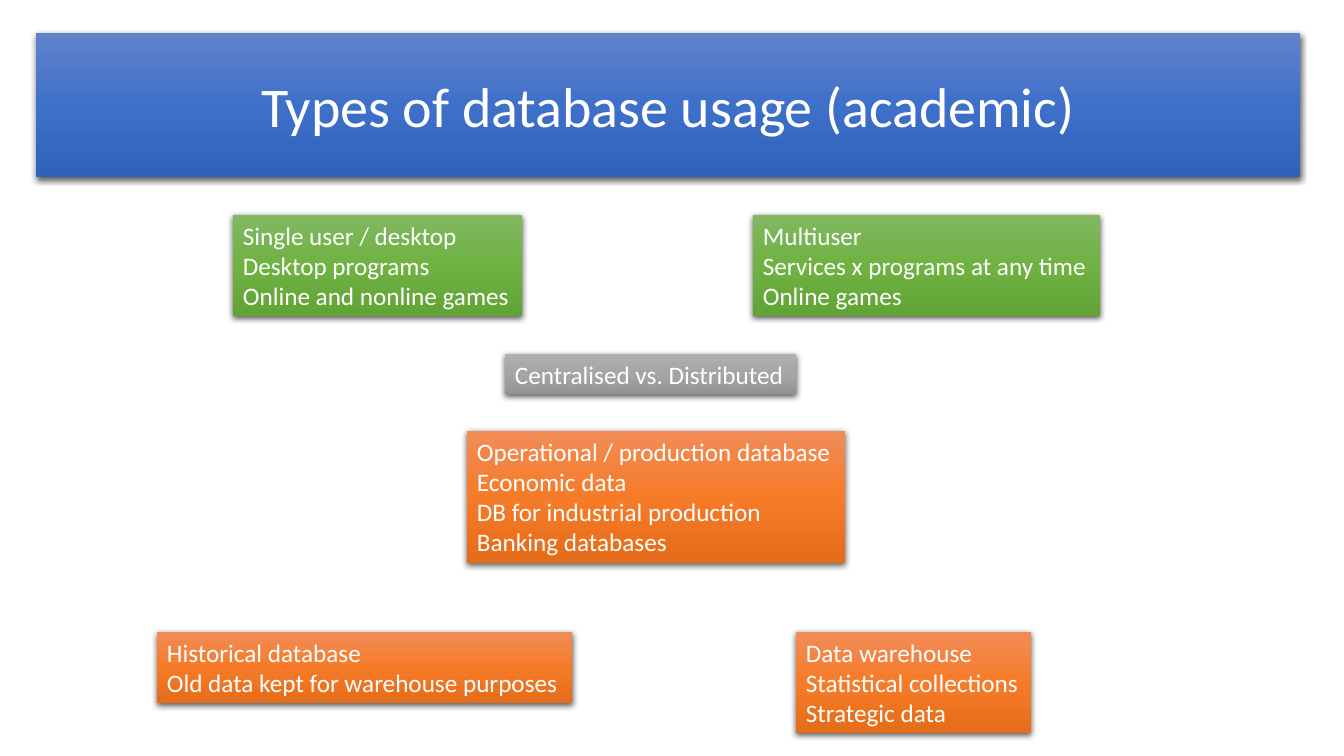
from copy import deepcopy

from lxml.etree import SubElement
from pptx import Presentation
from pptx.dml.color import RGBColor
from pptx.enum.shapes import MSO_SHAPE
from pptx.enum.text import MSO_ANCHOR, MSO_AUTO_SIZE, PP_ALIGN
from pptx.oxml.ns import qn
from pptx.util import Emu, Pt

TITLE = "Types of database usage (academic)"
TITLE_AREA = (36, 33, 1264, 144)

# left, top, width, gradient name, lines
BOXES = [
    (233, 215, 289, "green",
     ["Single user / desktop", "Desktop programs", "Online and nonline games"]),
    (753, 215, 347, "green",
     ["Multiuser", "Services x programs at any time", "Online games"]),
    (467, 431, 378, "orange",
     ["Operational / production database", "Economic data",
      "DB for industrial production", "Banking databases"]),
    (796, 632, 235, "orange",
     ["Data warehouse", "Statistical collections", "Strategic data"]),
    (157, 632, 415, "orange",
     ["Historical database", "Old data kept for warehouse purposes"]),
    (505, 354, 291, "gray", ["Centralised vs. Distributed"]),
]

THEME = {
    "font": "Calibri",
    "text": "FFFFFF",
    "title_size": 40,
    "box_size": 18,
    "blue": ("6183CB", "3E70CA", "3062BB"),
    "green": ("81B861", "6FB242", "62A336"),
    "orange": ("F18C57", "F67B28", "E56C19"),
    "gray": ("AFAFAF", "A5A5A5", "939393"),
    "shadow": "000000",
}

SLIDE_SIZE = (1344, 756)
BOX_PADDING = 10
LINE_HEIGHT = 30.5


def px(length):
    return Emu(round(length * 914400 / 100.8))


def fill_gradient(shape, colors):
    """Fill from top to bottom with evenly spaced colours."""
    shape.fill.gradient()
    shape.fill.gradient_angle = 270
    stop_list = shape.element.spPr.find(".//" + qn("a:gsLst"))
    stop_list.append(deepcopy(stop_list[0]))
    for index, (stop, color) in enumerate(zip(shape.fill.gradient_stops, colors)):
        stop.color.rgb = RGBColor.from_string(color)
        stop.position = index / (len(colors) - 1)


def add_drop_shadow(shape):
    shape.shadow.inherit = False
    effects = shape.element.spPr.find(qn("a:effectLst"))
    shadow = SubElement(effects, qn("a:outerShdw"), blurRad=str(Pt(4.5)),
                        dist=str(Pt(1.5)), dir="5400000", algn="ctr", rotWithShape="0")
    color = SubElement(shadow, qn("a:srgbClr"), val=THEME["shadow"])
    SubElement(color, qn("a:alpha"), val="63000")


def add_panel(slide, area, gradient, lines, size, alignment, anchor):
    shape = slide.shapes.add_shape(MSO_SHAPE.RECTANGLE, *map(px, area))
    fill_gradient(shape, THEME[gradient])
    shape.line.fill.background()
    add_drop_shadow(shape)
    text_frame = shape.text_frame
    text_frame.text = "\n".join(lines)
    text_frame.vertical_anchor = anchor
    for paragraph in text_frame.paragraphs:
        paragraph.alignment = alignment
        for run in paragraph.runs:
            run.font.name = THEME["font"]
            run.font.size = Pt(size)
            run.font.color.rgb = RGBColor.from_string(THEME["text"])
    return shape


def main():
    presentation = Presentation()
    presentation.slide_width, presentation.slide_height = map(px, SLIDE_SIZE)
    slide = presentation.slides.add_slide(presentation.slide_layouts[6])

    add_panel(slide, TITLE_AREA, "blue", [TITLE], THEME["title_size"],
              PP_ALIGN.CENTER, MSO_ANCHOR.MIDDLE)
    for left, top, width, gradient, lines in BOXES:
        height = BOX_PADDING + LINE_HEIGHT * len(lines)
        box = add_panel(slide, (left, top, width, height), gradient, lines,
                        THEME["box_size"], PP_ALIGN.LEFT, MSO_ANCHOR.TOP)
        box.text_frame.word_wrap = False
        box.text_frame.auto_size = MSO_AUTO_SIZE.SHAPE_TO_FIT_TEXT

    presentation.save("out.pptx")


if __name__ == "__main__":
    main()
